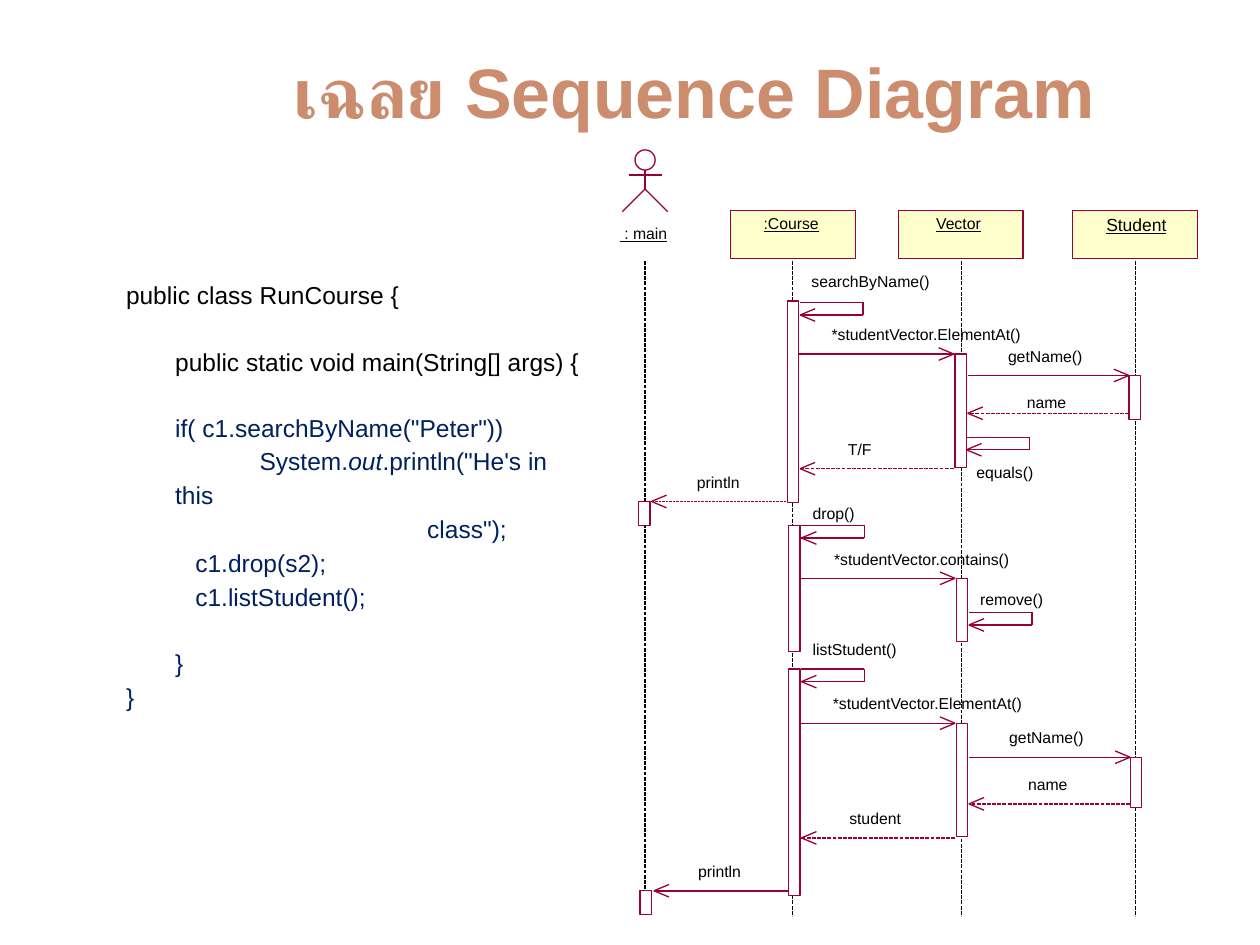
from dataclasses import dataclass

import lxml.etree
import pptx
import pptx.dml.color
import pptx.enum.dml
import pptx.enum.shapes
import pptx.enum.text
import pptx.oxml.ns
import pptx.util

Inches = pptx.util.Inches
Pt = pptx.util.Pt
KIND = pptx.enum.shapes.MSO_SHAPE
ALIGN = pptx.enum.text.PP_ALIGN
qn = pptx.oxml.ns.qn

HUES = {"title": "CC8C6E", "edge": "990033", "head": "FFFFCC",
        "bar": "FFFFFF", "text": "000000", "code": "002060"}


@dataclass
class Label:
    text: str
    x: float
    y: float
    w: float
    size: float = 9
    under: bool = False


@dataclass
class Role:
    label: Label
    left: float
    axis: float
    edge: float = 0.75


@dataclass
class Bar:
    x: float
    y: float
    h: float


@dataclass
class Call:
    label: Label
    start: float
    end: float
    y: float
    dash: bool = False
    width: float = 0.75


@dataclass
class Loop:
    label: Label
    x: float
    y: float


@dataclass
class Code:
    runs: list
    left: float = 0
    first: float = 0
    gap: bool = False
    hue: str = "code"


def paint(name: str):
    return pptx.dml.color.RGBColor.from_string(HUES[name])


def write(para, text: str, size=9, hue="text", bold=False, slant=False, under=False):
    run = para.add_run()
    run.text = text
    font = run.font
    font.name, font.size, font.bold = "Arial", Pt(size), bold
    font.italic, font.underline = slant, under
    font.color.rgb = paint(hue)


def trim(frame, wrap: bool):
    frame.margin_left = frame.margin_right = 0
    frame.margin_top = frame.margin_bottom = 0
    frame.word_wrap = wrap


def note(shapes, item: Label):
    box = shapes.add_textbox(Inches(item.x), Inches(item.y), Inches(item.w), Inches(0.16))
    trim(box.text_frame, False)
    write(box.text_frame.paragraphs[0], item.text, size=item.size, under=item.under)


def shape(shapes, kind, x: float, y: float, w: float, h: float, fill="", edge=0.75):
    item = shapes.add_shape(kind, Inches(x), Inches(y), Inches(w), Inches(h))
    item.shadow.inherit = False
    if fill:
        item.fill.solid()
        item.fill.fore_color.rgb = paint(fill)
    else:
        item.fill.background()
    item.line.color.rgb = paint("edge")
    item.line.width = Pt(edge)


def line(shapes, x1: float, y1: float, x2: float, y2: float,
         hue="edge", width=0.75, dash=False):
    item = shapes.add_connector(pptx.enum.shapes.MSO_CONNECTOR.STRAIGHT,
                                Inches(x1), Inches(y1), Inches(x2), Inches(y2))
    item.line.color.rgb = paint(hue)
    item.line.width = Pt(width)
    if dash:
        item.line.dash_style = pptx.enum.dml.MSO_LINE.SQUARE_DOT
    lxml.etree.SubElement(item._element.spPr, qn("a:effectLst"))


def arrow(shapes, start: float, end: float, y: float, width=0.75, dash=False):
    line(shapes, start, y, end, y, width=width, dash=dash)
    back = 0.12 if start > end else -0.12
    for rise in (0.05, -0.05):
        line(shapes, end, y, end + back, y + rise)


def call(shapes, item: Call):
    arrow(shapes, item.start, item.end, item.y, item.width, item.dash)
    note(shapes, item.label)


def loop(shapes, item: Loop):
    right, low = item.x + 0.5, item.y + 0.1
    line(shapes, item.x, item.y, right, item.y)
    line(shapes, right, item.y, right, low)
    arrow(shapes, right, item.x, low)
    note(shapes, item.label)


def actor(shapes):
    group = shapes.add_group_shape().shapes
    shape(group, KIND.OVAL, 5.04, 1.19, 0.16, 0.16)
    line(group, 5.12, 1.35, 5.12, 1.5)
    line(group, 4.99, 1.39, 5.25, 1.39)
    pen = group.build_freeform(Inches(4.94), Inches(1.68))
    pen.add_line_segments([(Inches(5.12), Inches(1.5)), (Inches(5.3), Inches(1.68))], close=False)
    legs = pen.convert_to_shape()
    legs.shadow.inherit = False
    legs.fill.background()
    legs.line.color.rgb = paint("edge")
    legs.line.width = Pt(0.75)


def place(item, x: float, y: float, w: float, h: float):
    item.left, item.top, item.width, item.height = map(Inches, (x, y, w, h))
    trim(item.text_frame, True)


def code(para, row: Code):
    para.line_spacing = 1.15
    para.space_before = Pt(18.5 if row.gap else 0)
    props = para._p.get_or_add_pPr()
    props.set("marL", str(Inches(row.left)))
    props.set("indent", str(Inches(row.first)))
    lxml.etree.SubElement(props, qn("a:buNone"))
    for step, text in enumerate(row.runs):
        write(para, text, size=14, hue=row.hue, slant=step % 2 == 1)


ROLES = [
    Role(Label(":Course", 6.06, 1.7, 0.45, under=True), 5.8, 6.29),
    Role(Label("Vector", 7.43, 1.7, 0.36, under=True), 7.13, 7.63),
    Role(Label("Student", 8.78, 1.7, 0.48, 10, True), 8.51, 9.01, 0.25),
]
BARS = [
    Bar(5.07, 3.98, 0.19), Bar(6.25, 2.39, 1.6), Bar(7.58, 2.81, 0.9), Bar(8.96, 2.98, 0.35),
    Bar(6.26, 4.17, 1), Bar(7.59, 4.59, 0.5),
    Bar(5.08, 7.07, 0.19), Bar(6.26, 5.31, 1.8), Bar(7.59, 5.74, 0.9), Bar(8.97, 6.01, 0.4),
]
LOOPS = [
    Loop(Label("searchByName()", 6.44, 2.16, 0.95), 6.35, 2.4),
    Loop(Label("equals()", 7.75, 3.67, 0.46), 7.67, 3.47),
    Loop(Label("drop()", 6.45, 4, 0.34), 6.36, 4.17),
    Loop(Label("remove()", 7.78, 4.68, 0.5), 7.69, 4.86),
    Loop(Label("listStudent()", 6.45, 5.08, 0.68), 6.36, 5.31),
]
CALLS = [
    Call(Label("*studentVector.ElementAt()", 6.6, 2.58, 1.53), 6.34, 7.57, 2.81),
    Call(Label("getName()", 8, 2.75, 0.61), 7.68, 8.96, 2.98),
    Call(Label("name", 8.15, 3.12, 0.33), 8.96, 7.68, 3.28, True),
    Call(Label("T/F", 6.73, 3.49, 0.19), 7.57, 6.35, 3.72, True),
    Call(Label("println", 5.53, 3.75, 0.35), 6.24, 5.17, 3.98, True, 0.5),
    Call(Label("*studentVector.contains()", 6.62, 4.36, 1.46), 6.36, 7.58, 4.59),
    Call(Label("*studentVector.ElementAt()", 6.61, 5.51, 1.53), 6.35, 7.58, 5.74),
    Call(Label("getName()", 8.01, 5.78, 0.61), 7.69, 8.97, 6.01),
    Call(Label("name", 8.16, 6.15, 0.33), 8.97, 7.69, 6.38, True),
    Call(Label("student", 6.74, 6.42, 0.42), 7.58, 6.36, 6.65, True),
    Call(Label("println", 5.54, 6.84, 0.35), 6.25, 5.19, 7.07, width=1),
]
CODE = [
    Code(["public class RunCourse {"], hue="text"),
    Code(["public static void main(String[] args) {"], 0.39, gap=True, hue="text"),
    Code(['if( c1.searchByName("Peter"))'], 0.39, gap=True),
    Code(["System.", "out", '.println("He\'s in this'], 0.39, 0.67),
    Code(['class");'], 2.39),
    Code(["c1.drop(s2);"], 0.55),
    Code(["c1.listStudent();"], 0.55),
    Code(["}"], 0.39, gap=True),
    Code(["}"]),
]


def main():
    deck = pptx.Presentation()
    deck.slide_width, deck.slide_height = Inches(10), Inches(7.5)
    slide = deck.slides.add_slide(deck.slide_layouts[1])
    shapes = slide.shapes

    # Title
    place(shapes.title, 1.24, 0.21, 8.54, 1.13)
    shapes.title.text_frame.vertical_anchor = pptx.enum.text.MSO_ANCHOR.MIDDLE
    para = shapes.title.text_frame.paragraphs[0]
    para.alignment, para.line_spacing = ALIGN.CENTER, 0.81
    write(para, "เฉลย Sequence Diagram", size=40, hue="title", bold=True)

    # Program listing
    body = slide.placeholders[1]
    place(body, 1, 2.19, 3.67, 4.72)
    for step, row in enumerate(CODE):
        frame = body.text_frame
        code(frame.add_paragraph() if step else frame.paragraphs[0], row)

    # Actor, role heads and lifelines
    actor(shapes)
    note(shapes, Label(" : main", 4.92, 1.78, 0.39, under=True))
    line(shapes, 5.12, 2.07, 5.12, 7.07, hue="text", dash=True)
    for role in ROLES:
        shape(shapes, KIND.RECTANGLE, role.left, 1.67, 0.99, 0.38, "head", role.edge)
        note(shapes, role.label)
        line(shapes, role.axis, 2.07, role.axis, 7.27, hue="text", dash=True)

    # Activation bars and messages
    for bar in BARS:
        shape(shapes, KIND.RECTANGLE, bar.x, bar.y, 0.09, bar.h, "bar")
    for item in LOOPS:
        loop(shapes, item)
    for item in CALLS:
        call(shapes, item)

    deck.save("out.pptx")


if __name__ == "__main__":
    main()
